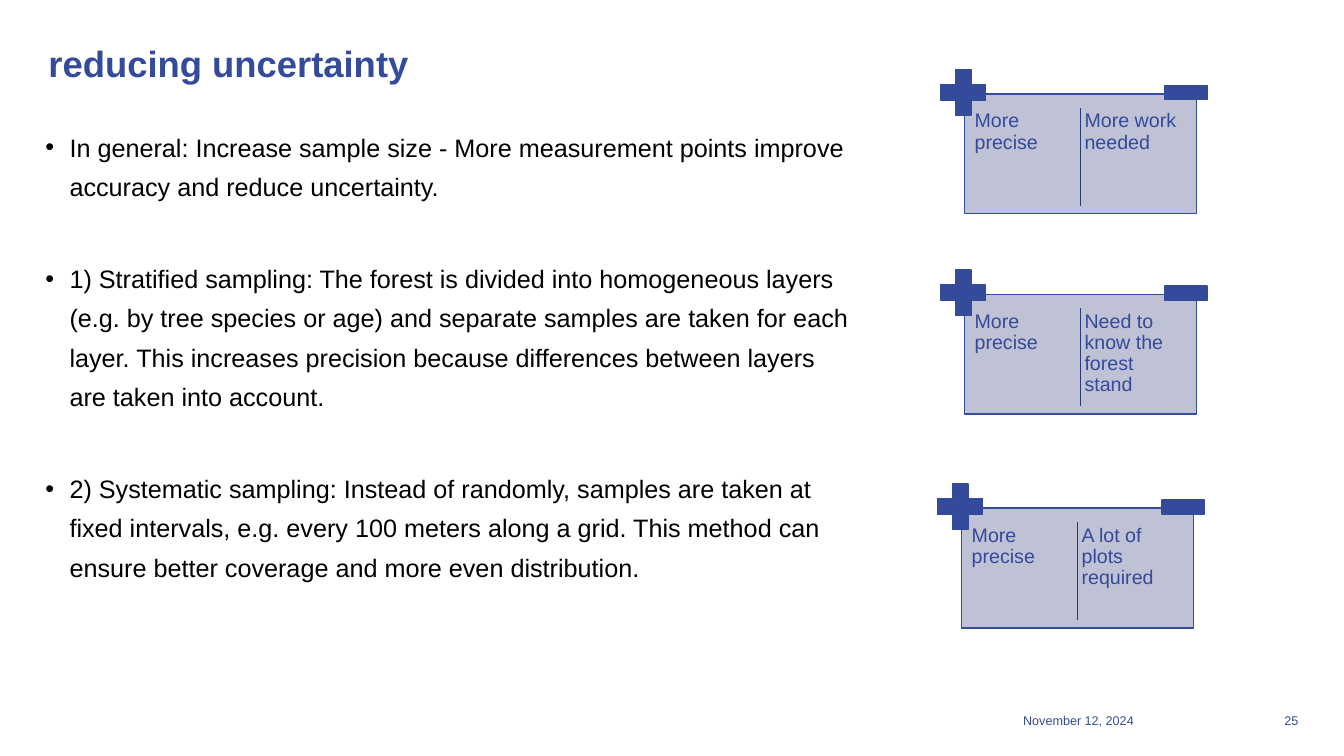
from lxml import etree
from pptx import Presentation
from pptx.dml.color import RGBColor
from pptx.enum.shapes import MSO_CONNECTOR, MSO_SHAPE
from pptx.enum.text import PP_ALIGN
from pptx.oxml.ns import qn
from pptx.util import Pt

RECTANGLE = MSO_SHAPE.RECTANGLE
CROSS = MSO_SHAPE.CROSS
STRAIGHT = MSO_CONNECTOR.STRAIGHT
LEFT, RIGHT = PP_ALIGN.LEFT, PP_ALIGN.RIGHT

FONT = "Arial"
BLUE, DARK_BLUE, PALE, BLACK = "344A9A", "2A3B7B", "BFC1D4", "000000"

METHODS = [
    "In general: Increase sample size - More measurement points improve "
    "accuracy and reduce uncertainty.",
    "1) Stratified sampling: The forest is divided into homogeneous layers "
    "(e.g. by tree species or age) and separate samples are taken for each "
    "layer. This increases precision because differences between layers are "
    "taken into account.",
    "2) Systematic sampling: Instead of randomly, samples are taken at fixed "
    "intervals, e.g. every 100 meters along a grid. This method can ensure "
    "better coverage and more even distribution.",
]
CARD_SIZE = (165.6, 85.7)
# left, top, advantage, drawback
CARDS = [
    (689, 67, "More precise", "More work needed"),
    (689, 210.2, "More precise", "Need to know the forest stand"),
    (686.9, 362.9, "More precise", "A lot of plots required"),
]


def color(hex_code):
    return RGBColor.from_string(hex_code)


def add_text(shapes, box, paragraphs, size, hex_code=BLUE, bold=False,
             align=LEFT, spacing=None, inset=0):
    """Add a wrapped text box with equal insets and return its frame."""
    frame = shapes.add_textbox(*map(Pt, box)).text_frame
    frame.word_wrap = True
    frame.margin_left = frame.margin_right = Pt(inset)
    frame.margin_top = frame.margin_bottom = Pt(inset)
    frame.text = "\n".join(paragraphs)
    for paragraph in frame.paragraphs:
        paragraph.alignment = align
        paragraph.line_spacing = spacing
        for run in paragraph.runs:
            run.font.name = FONT
            run.font.size = Pt(size)
            run.font.bold = bold
            run.font.color.rgb = color(hex_code)
    return frame


def add_block(shapes, preset, box, fill):
    block = shapes.add_shape(preset, *map(Pt, box))
    block.shadow.inherit = False
    block.fill.solid()
    block.fill.fore_color.rgb = color(fill)
    block.line.color.rgb = color(BLUE)
    block.line.width = Pt(1)
    return block


def add_methods(shapes, box):
    """Add the bulleted list of ways to reduce uncertainty."""
    frame = add_text(shapes, box, METHODS, 18, BLACK, spacing=Pt(28))
    for index, paragraph in enumerate(frame.paragraphs):
        if index:
            paragraph.space_before = Pt(38)
        properties = paragraph._p.get_or_add_pPr()
        properties.set("marL", str(Pt(17.3)))
        properties.set("indent", str(-Pt(17.3)))
        bullet_font = etree.SubElement(properties, qn("a:buFont"))
        bullet_font.set("typeface", FONT)
        etree.SubElement(properties, qn("a:buChar")).set("char", "•")


def add_card(slide, box, advantage, drawback):
    """Add a card weighing an advantage against a drawback."""
    left, top, width, height = box
    shapes = slide.shapes.add_group_shape().shapes
    middle = left + width / 2
    text_top = top + 10
    add_block(shapes, RECTANGLE, box, PALE)
    for text_left, text in ((left + 5, advantage), (middle + 0.7, drawback)):
        add_text(shapes, (text_left, text_top, 77, 73.4), [text], 14,
                 spacing=0.9, inset=2.2)

    plus = add_block(shapes, CROSS, (left - 17.3, top - 17.3, 32.4, 32.4), BLUE)
    plus.adjustments[0] = 0.328
    add_block(shapes, RECTANGLE,
              (left + width - 22.5, top - 5.8, 30.2, 10.1), BLUE)

    divider = shapes.add_connector(STRAIGHT, Pt(middle), Pt(text_top),
                                   Pt(middle), Pt(top + height - 5.8))
    divider.line.color.rgb = color(DARK_BLUE)
    divider.line.width = Pt(1)
    etree.SubElement(divider._element.spPr, qn("a:effectLst"))


def add_footer(shapes, box):
    left, top, width, height = box
    add_text(shapes, (left + 2.9, top, 110, height), ["November 12, 2024"], 9)
    add_text(shapes, (left + width - 28, top, 28, height), ["25"], 9,
             align=RIGHT)


def main():
    deck = Presentation()
    deck.slide_width, deck.slide_height = Pt(960), Pt(540)
    slide = deck.slides.add_slide(deck.slide_layouts[6])
    shapes = slide.shapes
    add_text(shapes, (34.6, 28.8, 510.5, 104.4), ["reducing uncertainty"], 26,
             bold=True, spacing=Pt(32))
    add_methods(shapes, (32.4, 87.8, 573.8, 423.4))
    add_footer(shapes, (727.9, 509, 199.5, 14.4))
    for left, top, advantage, drawback in CARDS:
        add_card(slide, (left, top, *CARD_SIZE), advantage, drawback)
    deck.save("out.pptx")


if __name__ == "__main__":
    main()
